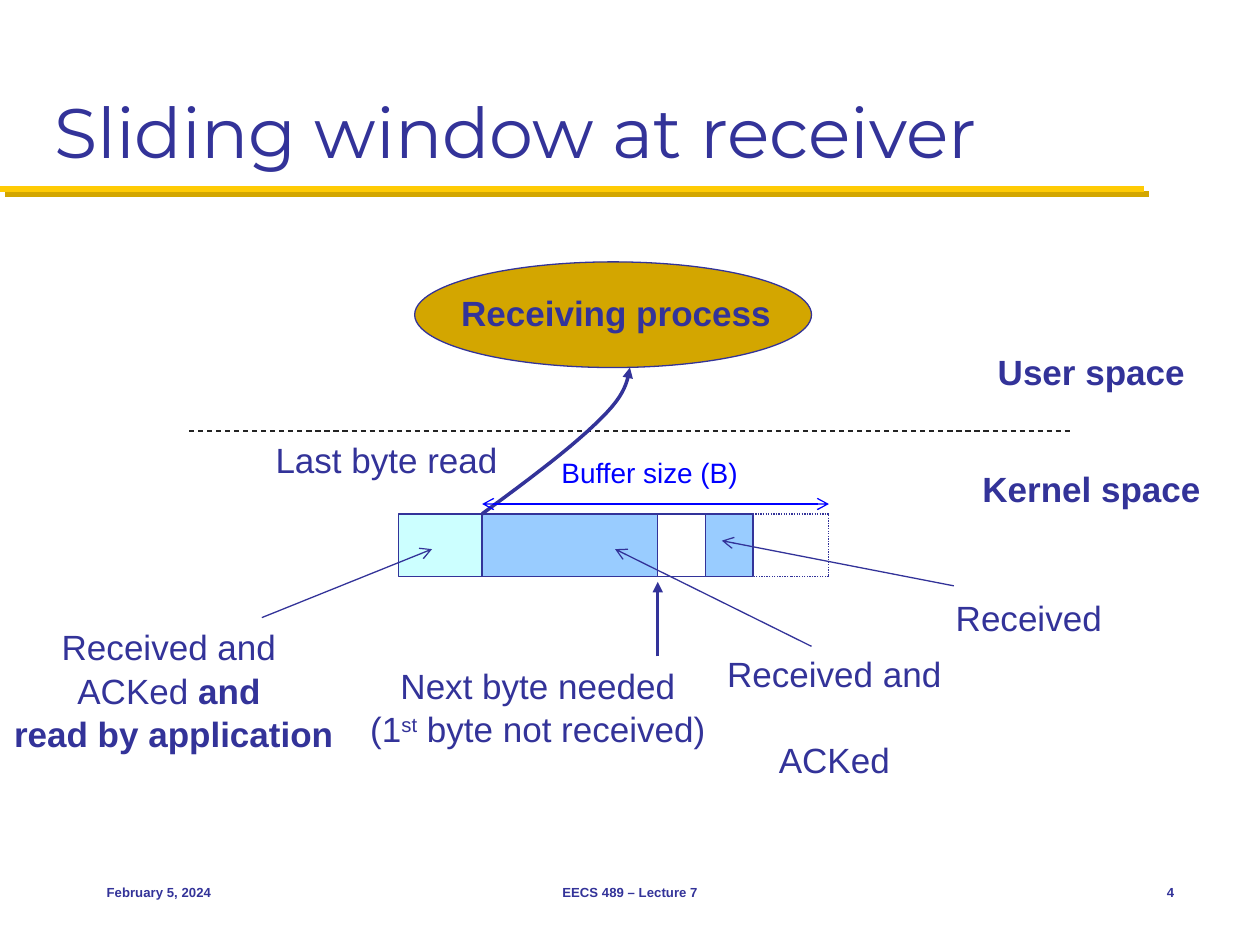
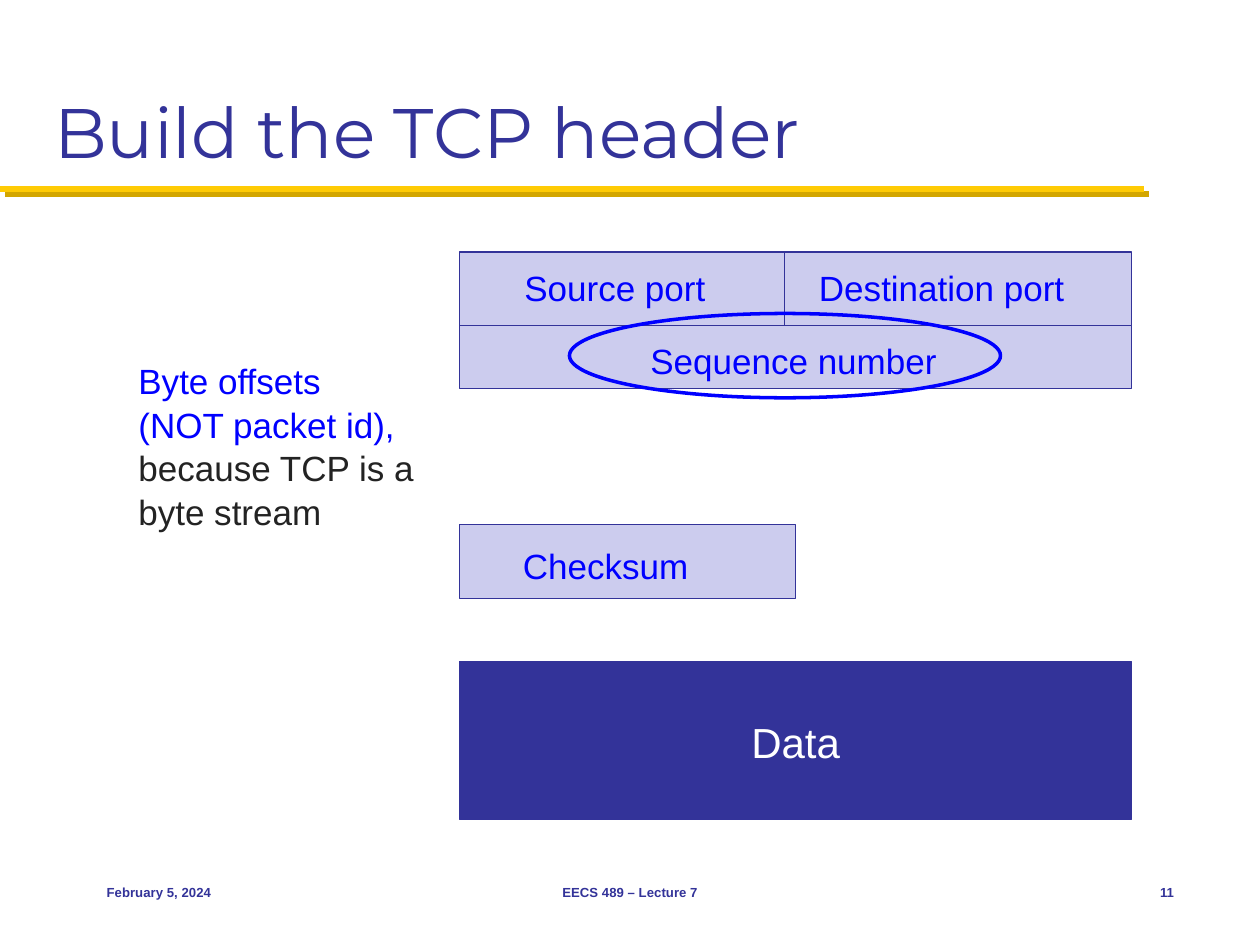
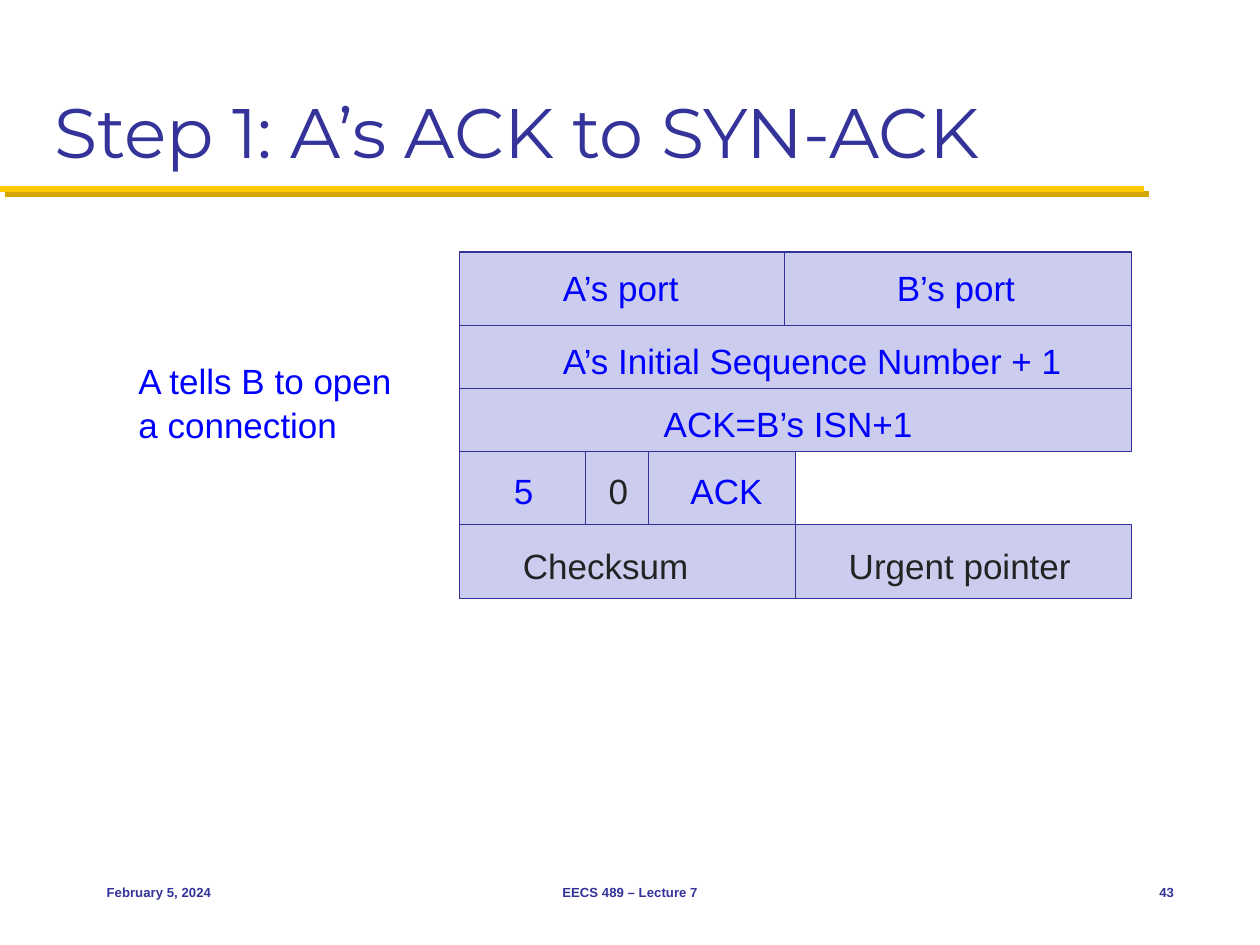
from lxml import etree
from pptx import Presentation
from pptx import util as u
from pptx.dml.color import RGBColor
from pptx.enum import dml, shapes, text
from pptx.oxml import ns

NAVY = RGBColor(0x33, 0x33, 0x99)
BLUE = RGBColor(0x00, 0x00, 0xFF)
INK = RGBColor(0x23, 0x23, 0x23)
WHITE = RGBColor(0xFF, 0xFF, 0xFF)
GOLD = RGBColor(0xFF, 0xCB, 0x05)
OCHRE = RGBColor(0xD3, 0xA6, 0x00)
LILAC = RGBColor(0xCC, 0xCC, 0xEE)
CYAN = RGBColor(0xCC, 0xFF, 0xFF)
SKY = RGBColor(0x99, 0xCC, 0xFF)

Cm, Pt = u.Cm, u.Pt
KIND = shapes.MSO_SHAPE
DASH = dml.MSO_LINE
LEFT, MID, RIGHT = text.PP_ALIGN.LEFT, text.PP_ALIGN.CENTER, text.PP_ALIGN.RIGHT


# Basic parts; all lengths are in centimetres

def write(frame, paras, size=20, color=NAVY, align=MID, gap=0):
    """Each paragraph is a string or a list of (text, style) runs."""
    for i, para in enumerate(paras):
        p = frame.paragraphs[0] if i == 0 else frame.add_paragraph()
        p.alignment, p.line_spacing = align, 1.04
        if i:
            p.space_before = Pt(gap)
        for words, style in [(para, {})] if isinstance(para, str) else para:
            run = p.add_run()
            run.text = words
            font = run.font
            font.name, font.size = "Arial", Pt(size)
            font.bold = style.get("bold", False)
            font.color.rgb = style.get("color", color)
            if "raised" in style:
                run._r.get_or_add_rPr().set("baseline", "30000")


def label(sl, x, y, w, h, paras, wrap=False, **style):
    box = sl.shapes.add_textbox(Cm(x), Cm(y), Cm(w), Cm(h))
    frame = box.text_frame
    frame.word_wrap = wrap
    frame.auto_size = text.MSO_AUTO_SIZE.SHAPE_TO_FIT_TEXT
    write(frame, paras, **style)
    return frame


def block(sl, x, y, w, h, fill=None, kind=KIND.RECTANGLE, line=NAVY, width=0.75):
    shape = sl.shapes.add_shape(kind, Cm(x), Cm(y), Cm(w), Cm(h))
    shape.shadow.inherit = False
    if fill is None:
        shape.fill.background()
    else:
        shape.fill.solid()
        shape.fill.fore_color.rgb = fill
    shape.line.color.rgb, shape.line.width = line, Pt(width)
    return shape


def tips(line, **ends):
    ln = line._get_or_add_ln()
    for end, kind in ends.items():
        etree.SubElement(ln, ns.qn(f"a:{end}End"), type=kind)


def link(sl, x1, y1, x2, y2, color=NAVY, width=0.75, dash=None, **ends):
    conn = sl.shapes.add_connector(shapes.MSO_CONNECTOR.STRAIGHT,
                                   Cm(x1), Cm(y1), Cm(x2), Cm(y2))
    conn.line.color.rgb, conn.line.width = color, Pt(width)
    if dash:
        conn.line.dash_style = dash
    tips(conn.line, **ends)
    return etree.SubElement(conn._element.spPr, ns.qn("a:effectLst"))


def curve(sl, start, parts, steps=12):
    """Draw joined cubic curves, each given as two handles and an end."""
    pts, a = [], start
    for b, c, d in parts:
        for i in range(1, steps + 1):
            t = i / steps
            s = 1 - t
            pts.append(tuple(
                Cm(s**3 * p + 3 * s * s * t * q + 3 * s * t * t * r + t**3 * e)
                for p, q, r, e in zip(a, b, c, d)))
        a = d
    pen = sl.shapes.build_freeform(Cm(start[0]), Cm(start[1]))
    pen.add_line_segments(pts, close=False)
    shape = pen.convert_to_shape()
    shape.shadow.inherit = False
    shape.fill.background()
    shape.line.color.rgb, shape.line.width = NAVY, Pt(2)
    tips(shape.line, tail="triangle")


# Shared frame: title, gold rule, footer

def rule(sl, x, y, w):
    glow = link(sl, x, y, x + w, y, GOLD, 3.5)
    shade = etree.SubElement(glow, ns.qn("a:outerShdw"), dist=str(Pt(4.2)),
                             dir="2700000", algn="ctr", rotWithShape="0")
    etree.SubElement(shade, ns.qn("a:srgbClr"), val=str(OCHRE))


def foot(sl, y, num):
    for x, w, words, align in ((1.9, 5.29, "February 5, 2024", LEFT),
                               (8.68, 8.04, "EECS 489 – Lecture 7", MID),
                               (22.23, 1.69, num, RIGHT)):
        frame = label(sl, x, y, w, 1.27, [[(words, {"bold": True})]],
                      size=7.5, align=align)
        frame.auto_size = text.MSO_AUTO_SIZE.NONE
        frame.vertical_anchor = text.MSO_ANCHOR.MIDDLE


def page(prs, name, num):
    sl = prs.slides.add_slide(prs.slide_layouts[5])
    head = sl.shapes.title
    head.left, head.top, head.width, head.height = Cm(0.84), Cm(0.43), Cm(23.7), Cm(3.18)
    frame = head.text_frame
    frame.auto_size = text.MSO_AUTO_SIZE.NONE
    frame.vertical_anchor = text.MSO_ANCHOR.BOTTOM
    p = frame.paragraphs[0]
    p.alignment = LEFT
    run = p.add_run()
    run.text = name
    run.font.name, run.font.size = "Montserrat", Pt(40)
    run.font.color.rgb = NAVY
    rule(sl, 0, 3.81, 23.06)
    foot(sl, 17.35, num)
    return sl


# Receiver diagram

def spaces(sl, x, y):
    """User and kernel space on either side of a dashed border."""
    block(sl, x + 4.55, y - 3.41, 8, 2.13, OCHRE, KIND.OVAL)
    link(sl, x, y, x + 17.78, y, INK, dash=DASH.DASH)
    for dx, dy, w, words in ((5.23, -2.97, 6.76, "Receiving process"),
                             (16.03, -1.78, 4.32, "User space"),
                             (15.72, 0.58, 4.95, "Kernel space")):
        label(sl, x + dx, y + dy, w, 1.1, [[(words, {"bold": True})]])


def strip(sl, x, y, h):
    """Receive buffer with its size arrow and the read path."""
    edges = [0, 1.69, 5.23, 6.19, 7.15, 8.68]
    for a, b, fill in zip(edges, edges[1:], (CYAN, SKY, WHITE, SKY, None)):
        part = block(sl, x + a, y, b - a, h, fill)
    part.line.dash_style = DASH.ROUND_DOT
    read, end = x + edges[1], x + edges[-1]
    curve(sl, (read, y), [
        ((read + 0.97, y - 0.71), (read + 1.91, y - 1.42), (read + 2.4, y - 1.93)),
        ((read + 2.9, y - 2.41), (read + 2.93, y - 2.69), (read + 2.98, y - 2.95))])
    link(sl, read, y - 0.2, end, y - 0.2, BLUE, head="arrow", tail="arrow")
    label(sl, x + 3.04, y - 1.32, 5, 1.1, ["Buffer size (B)"],
          size=16, color=BLUE, align=LEFT)
    label(sl, x - 2.75, y - 1.67, 5.03, 1.1, ["Last byte read"])


def notes(sl, x, y):
    """Captions below the buffer and arrows that point into it."""
    bold = {"bold": True}
    for dx, dy, w, h, gap, paras in (
            (-8.03, 2.09, 7.01, 2.82, 0,
             ["Received and ", [("ACKed ", {}), ("and ", bold)],
              [("read by application", bold)]]),
            (-0.87, 2.87, 7.37, 1.96, 0,
             ["Next byte needed",
              [("(1", {}), ("st", {"raised": True}), (" byte not received)", {})]]),
            (6.35, 2.64, 4.88, 1.96, 24, ["Received and", "ACKed"]),
            (10.97, 1.5, 3.48, 1.1, 0, ["Received"])):
        label(sl, x + dx, y + dy, w, h, paras, gap=gap)
    for x1, y1, x2, y2 in ((-2.75, 2.09, 0.68, 0.71),
                           (8.33, 2.67, 4.37, 0.71),
                           (11.2, 1.45, 6.52, 0.54)):
        link(sl, x + x1, y + y1, x + x2, y + y2, tail="arrow")
    link(sl, x + 5.23, y + 2.87, x + 5.23, y + 1.37, width=1.5, tail="triangle")


# TCP header

WIDE, HALF, SRC, DST = 13.54, 6.77, 6.55, 6.99
# Top, height and text drop of each header row
ROWS = {"ports": (0, 1.48, 0.25), "seq": (1.48, 1.27, 0.25),
        "ack": (2.75, 1.27, 0.25), "flags": (4.02, 1.48, 0.33),
        "check": (5.5, 1.48, 0.36)}


def header(sl, x, y, rows):
    """Each cell is (width, indent, words, colour)."""
    for name, cells in rows.items():
        top, h, drop = ROWS[name]
        left = x
        for w, indent, words, color in cells:
            frame = block(sl, left, y + top, w, h, LILAC).text_frame
            frame.word_wrap = True
            frame.vertical_anchor = text.MSO_ANCHOR.TOP
            frame.margin_left, frame.margin_top = Cm(indent), Cm(drop)
            frame.margin_right = frame.margin_bottom = 0
            write(frame, [words], color=color, align=LEFT)
            left += w


def data(sl, x, y):
    frame = block(sl, x, y, WIDE, 3.18, NAVY).text_frame
    frame.vertical_anchor = text.MSO_ANCHOR.MIDDLE
    write(frame, ["Data"], size=24, color=WHITE)


def side(sl, w, h, paras, **style):
    label(sl, 2.54, 7.09, w, h, paras, color=BLUE, align=LEFT, **style)


# Slides

def window(prs):
    sl = page(prs, "Sliding window at receiver", "4")
    spaces(sl, 3.81, 8.69)
    strip(sl, 8.03, 10.36, 1.27)
    notes(sl, 8.03, 10.36)


def build(prs, x, y):
    sl = page(prs, "Build the TCP header", "11")
    header(sl, x, y, {
        "ports": [(SRC, 1.3, "Source port", BLUE), (DST, 0.69, "Destination port", BLUE)],
        "seq": [(WIDE, 3.84, "Sequence number", BLUE)],
        "check": [(HALF, 1.27, "Checksum", BLUE)]})
    data(sl, x, y + 8.26)
    block(sl, x + 2.21, y + 1.24, 8.69, 1.7, None, KIND.OVAL, BLUE, 2)
    dark = {"color": INK}
    side(sl, 6.3, 3.68, ["Byte offsets", "(NOT packet id),",
                         [("because TCP is a", dark)], [("byte stream", dark)]])


def step(prs, x, y):
    sl = page(prs, "Step 1: A’s ACK to SYN-ACK", "43")
    header(sl, x, y, {
        "ports": [(SRC, 2.08, "A’s port", BLUE), (DST, 2.26, "B’s port", BLUE)],
        "seq": [(WIDE, 2.08, "A’s Initial Sequence Number + 1", BLUE)],
        "ack": [(WIDE, 4.11, "ACK=B’s ISN+1", BLUE)],
        "flags": [(2.54, 1.09, "5", BLUE), (1.27, 0.46, "0", INK),
                  (2.96, 0.84, "ACK", BLUE)],
        "check": [(HALF, 1.27, "Checksum", INK), (HALF, 1.07, "Urgent pointer", INK)]})
    side(sl, 5.92, 1.96, ["A tells B to open a connection"], wrap=True)


def main():
    prs = Presentation()
    prs.slide_width, prs.slide_height = Cm(25.4), Cm(19.05)
    window(prs)
    build(prs, 9.27, 5.08)
    step(prs, 9.27, 5.08)
    prs.save("out.pptx")


if __name__ == "__main__":
    main()
